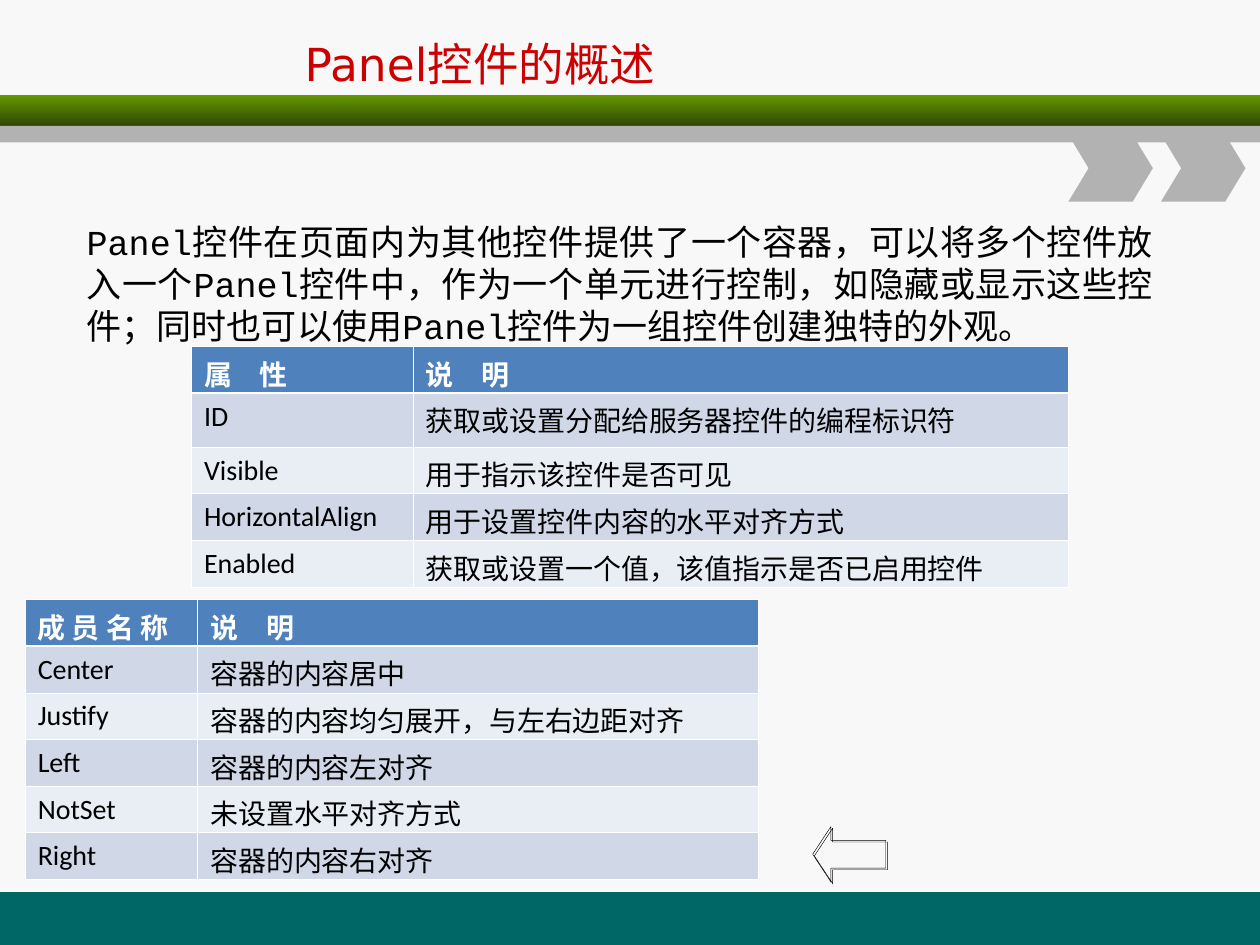
from lxml.etree import SubElement
from pptx import Presentation
from pptx.dml.color import RGBColor
from pptx.enum.shapes import MSO_SHAPE
from pptx.enum.text import MSO_ANCHOR, PP_ALIGN
from pptx.oxml.ns import qn
from pptx.util import Inches, Pt

COLORS = {
    "background": "F8F8F8", "footer": "006666", "gray": "B2B2B2",
    "green": "669900", "dark_green": "2F4700", "title": "CC0000",
    "text": "000000", "white": "FFFFFF", "header": "4F81BD",
    "odd_row": "D0D8E8", "even_row": "E9EDF4",
}

TITLE = "Panel控件的概述"
INTRO = (
    "Panel控件在页面内为其他控件提供了一个容器，可以将多个控件放入一个Panel控件中，"
    "作为一个单元进行控制，如隐藏或显示这些控件；"
    "同时也可以使用Panel控件为一组控件创建独特的外观。"
)
PROPERTIES = [
    ("属　性", "说　明"),
    ("ID", "获取或设置分配给服务器控件的编程标识符"),
    ("Visible", "用于指示该控件是否可见"),
    ("HorizontalAlign", "用于设置控件内容的水平对齐方式"),
    ("Enabled", "获取或设置一个值，该值指示是否已启用控件"),
]
MEMBERS = [
    ("成 员 名 称", "说　明"),
    ("Center", "容器的内容居中"),
    ("Justify", "容器的内容均匀展开，与左右边距对齐"),
    ("Left", "容器的内容左对齐"),
    ("NotSet", "未设置水平对齐方式"),
    ("Right", "容器的内容右对齐"),
]


def color(name):
    return RGBColor.from_string(COLORS[name])


def style_font(font, name, size, color_name, bold=False):
    font.name = name
    font.size = Pt(size)
    font.bold = bold
    font.color.rgb = color(color_name)


def fill_plain(shape, color_name):
    shape.shadow.inherit = False
    shape.fill.solid()
    shape.fill.fore_color.rgb = color(color_name)
    shape.line.fill.background()


def add_bar(slide, left, top, width, height, color_name):
    bar = slide.shapes.add_shape(MSO_SHAPE.RECTANGLE, left, top, width, height)
    fill_plain(bar, color_name)
    return bar


def add_chevron(slide, left, top, width, height):
    notch = Inches(0.16)
    right, middle, bottom = left + width, top + height // 2, top + height
    builder = slide.shapes.build_freeform(left, top)
    builder.add_line_segments([
        (right - notch, top), (right, middle), (right - notch, bottom),
        (left, bottom), (left + notch, middle),
    ])
    fill_plain(builder.convert_to_shape(), "gray")


def add_header_band(slide, left, top, width):
    green_height, gray_height = Inches(0.25), Inches(0.13)
    green = add_bar(slide, left, top, width, green_height, "green")
    green.fill.gradient()
    green.fill.gradient_angle = 270
    for stop, name in zip(green.fill.gradient_stops, ("green", "dark_green")):
        stop.color.rgb = color(name)
    # Chevrons hang below the gray strip at the right
    add_bar(slide, left, top + green_height, width, gray_height, "gray")
    for index in range(2):
        add_chevron(slide, left + Inches(8.48 + 0.735 * index),
                    top + Inches(0.32), Inches(0.67), Inches(0.53))


def add_text(slide, left, top, width, height, text, font_name, size, color_name,
             align=PP_ALIGN.LEFT, anchor=MSO_ANCHOR.TOP):
    frame = slide.shapes.add_textbox(left, top, width, height).text_frame
    frame.word_wrap = True
    frame.vertical_anchor = anchor
    paragraph = frame.paragraphs[0]
    paragraph.text = text
    paragraph.alignment = align
    style_font(paragraph.font, font_name, size, color_name)


def add_back_arrow(slide, left, top, width, height):
    arrow = slide.shapes.add_shape(MSO_SHAPE.LEFT_ARROW, left, top, width, height)
    arrow.adjustments[0] = 0.5
    arrow.adjustments[1] = 0.33
    arrow.fill.background()
    arrow.line.color.rgb = color("text")
    arrow.line.width = Pt(0.25)
    # Thin hard shadow down to the right
    arrow.shadow.inherit = False
    effects = arrow._element.spPr.find(qn("a:effectLst"))
    shadow = SubElement(effects, qn("a:outerShdw"), dist=str(Pt(1.4)),
                        dir="2700000", algn="ctr", rotWithShape="0")
    SubElement(shadow, qn("a:srgbClr"), val=COLORS["text"])


def set_borders(cell, top_width, bottom_width):
    properties = cell._tc.get_or_add_tcPr()
    widths = {"lnL": 0.45, "lnR": 0.45, "lnT": top_width, "lnB": bottom_width}
    for side, width in widths.items():
        line = SubElement(properties, qn(f"a:{side}"), w=str(Pt(width)))
        solid = SubElement(line, qn("a:solidFill"))
        SubElement(solid, qn("a:srgbClr"), val=COLORS["white"])


def add_banded_table(slide, left, top, column_widths, row_heights, rows):
    table = slide.shapes.add_table(
        len(rows), len(column_widths), left, top,
        Inches(sum(column_widths)), Inches(sum(row_heights))).table
    for column, width in zip(table.columns, column_widths):
        column.width = Inches(width)
    for row_index, values in enumerate(rows):
        table.rows[row_index].height = Inches(row_heights[row_index])
        is_header = row_index == 0
        band = "header" if is_header else "odd_row" if row_index % 2 else "even_row"
        for column_index, value in enumerate(values):
            cell = table.cell(row_index, column_index)
            set_borders(cell, 1.47 if row_index == 1 else 0.45,
                        1.47 if is_header else 0.45)
            cell.fill.solid()
            cell.fill.fore_color.rgb = color(band)
            paragraph = cell.text_frame.paragraphs[0]
            paragraph.text = value
            style_font(paragraph.font, "Calibri", 16,
                       "white" if is_header else "text", is_header)


def main():
    presentation = Presentation()
    presentation.slide_width = Inches(10)
    presentation.slide_height = Inches(7.5)
    slide = presentation.slides.add_slide(presentation.slide_layouts[6])
    slide.background.fill.solid()
    slide.background.fill.fore_color.rgb = color("background")

    # Frame of the slide
    add_bar(slide, 0, Inches(7.08), Inches(10), Inches(0.42), "footer")
    add_header_band(slide, 0, Inches(0.75), Inches(10))

    # Title, arrow and introduction
    add_text(slide, Inches(2.32), Inches(0.17), Inches(5.49), Inches(0.67),
             TITLE, "DejaVu Sans", 26, "title", anchor=MSO_ANCHOR.MIDDLE)
    add_back_arrow(slide, Inches(6.45), Inches(6.56), Inches(0.58), Inches(0.44))
    add_text(slide, Inches(0.59), Inches(1.7), Inches(8.66), Inches(1.1),
             INTRO, "Courier New", 20, "text", align=PP_ALIGN.JUSTIFY)

    # Tables of properties and alignment members
    add_banded_table(slide, Inches(1.52), Inches(2.75), [1.76, 5.2],
                     [0.37, 0.43, 0.37, 0.37, 0.37], PROPERTIES)
    add_banded_table(slide, Inches(0.2), Inches(4.76), [1.37, 4.45],
                     [0.37] * len(MEMBERS), MEMBERS)

    presentation.save("out.pptx")


if __name__ == "__main__":
    main()
